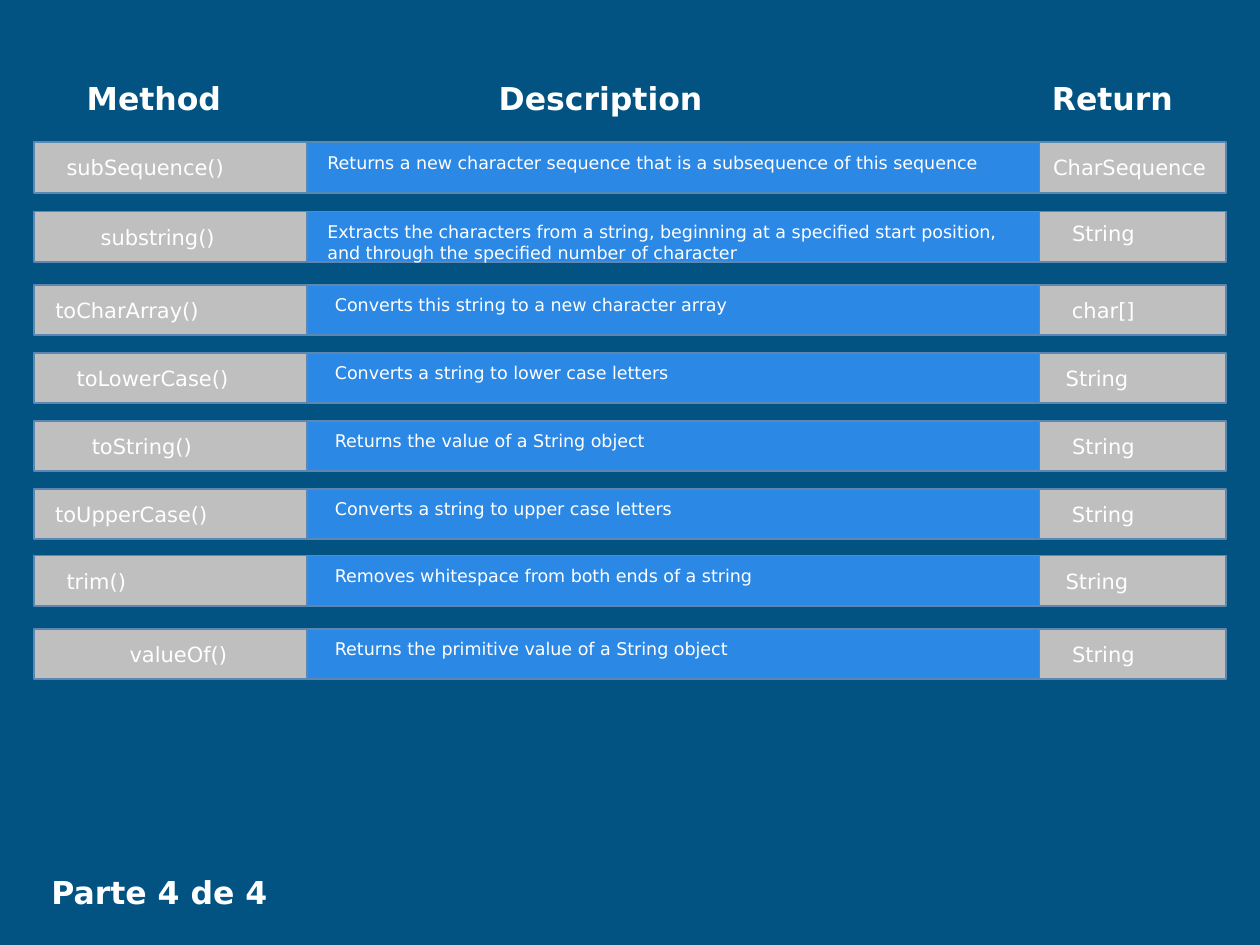
from dataclasses import dataclass
from typing import NamedTuple

from pptx import Presentation
from pptx.dml.color import RGBColor
from pptx.enum.shapes import MSO_SHAPE
from pptx.enum.text import MSO_AUTO_SIZE
from pptx.util import Inches, Pt


@dataclass(frozen=True)
class Theme:
    font: str = "DejaVu Sans"
    background: str = "025382"
    grey: str = "BFBFBF"
    blue: str = "2C88E5"
    outline: str = "5C87B1"
    text: str = "FFFFFF"
    heading: int = 18
    label: int = 12
    body: int = 10


class Box(NamedTuple):
    left: float
    top: float
    width: float
    height: float

    def inset(self, left, top, width, height):
        return Box(self.left + left, self.top + top, width, height)


class Entry(NamedTuple):
    top: float
    method: str
    method_place: tuple
    description: str
    description_place: tuple
    result: str
    result_place: tuple
    result_drop: float = 0.5


THEME = Theme()
COLUMNS, ROWS = 100, 75
WIDTH, HEIGHT = Inches(10), Inches(7.5)
EDGES = (2.7, 24.4, 82.5, 97.3)
FILLS = (THEME.grey, THEME.blue, THEME.grey)
BAR_HEIGHT = 4

HEADINGS = (
    ("Method", Box(5.9, 5.75, 12.7, 4)),
    ("Description", Box(38.6, 5.75, 18.2, 4)),
    ("Return", Box(82.5, 5.75, 11.6, 4)),
)
FOOTER = ("Parte 4 de 4", Box(3.1, 68.8, 20, 4))

ENTRIES = (
    Entry(11.3, "subSequence()", (1.6, 16.3),
          "Returns a new character sequence that is a subsequence of this sequence",
          (0.6, 57.5, 2.7), "CharSequence", (0.1, 14.7)),
    Entry(16.8, "substring()", (4.3, 16.2),
          "Extracts the characters from a string, beginning at a specified start position, "
          "and through the specified number of character",
          (0.6, 57.5, 4.4), "String", (1.6, 11.8), 0.2),
    Entry(22.6, "toCharArray()", (0.7, 18.9),
          "Converts this string to a new character array",
          (1.2, 55.7, 2.7), "char[]", (1.6, 8.7)),
    Entry(28, "toLowerCase()", (2.4, 18.8),
          "Converts a string to lower case letters",
          (1.2, 55.7, 2.7), "String", (1.1, 10.5)),
    Entry(33.4, "toString()", (3.6, 16.8),
          "Returns the value of a String object",
          (1.2, 55.7, 2.7), "String", (1.6, 11.1)),
    Entry(38.8, "toUpperCase()", (0.7, 21.6),
          "Converts a string to upper case letters",
          (1.2, 56.9, 2.7), "String", (1.6, 8.7)),
    Entry(44.1, "trim()", (1.6, 16.3),
          "Removes whitespace from both ends of a string",
          (1.2, 55.7, 2.7), "String", (1.1, 11.6)),
    Entry(49.9, "valueOf()", (6.6, 11.4),
          "Returns the primitive value of a String object",
          (1.2, 55.7, 2.7), "String", (1.6, 11.1)),
)


def place(box):
    return (
        round(WIDTH * box.left / COLUMNS),
        round(HEIGHT * box.top / ROWS),
        round(WIDTH * box.width / COLUMNS),
        round(HEIGHT * box.height / ROWS),
    )


def add_text(shapes, box, text, *, size, bold=False, wrap=True):
    frame = shapes.add_textbox(*place(box)).text_frame
    frame.word_wrap = wrap
    frame.auto_size = MSO_AUTO_SIZE.SHAPE_TO_FIT_TEXT
    span = frame.paragraphs[0].add_run()
    span.text = text
    span.font.name = THEME.font
    span.font.size = Pt(size)
    span.font.bold = bold
    span.font.color.rgb = RGBColor.from_string(THEME.text)


def add_bar(shapes, box, fill):
    bar = shapes.add_shape(MSO_SHAPE.RECTANGLE, *place(box))
    bar.shadow.inherit = False
    bar.fill.solid()
    bar.fill.fore_color.rgb = RGBColor.from_string(fill)
    bar.line.color.rgb = RGBColor.from_string(THEME.outline)
    bar.line.width = Pt(1)


def add_heading(page, box, text):
    add_text(page.shapes, box, text, size=THEME.heading, bold=True, wrap=False)


def add_entry(page, box, entry):
    shapes = page.shapes.add_group_shape().shapes
    cells = [
        Box(left, box.top, right - left, box.height)
        for left, right in zip(EDGES, EDGES[1:])
    ]
    for cell, fill in zip(cells, FILLS):
        add_bar(shapes, cell, fill)
    method, description, result = cells
    indent, width = entry.method_place
    add_text(shapes, method.inset(indent, 0.5, width, 3),
             entry.method, size=THEME.label)
    indent, width, height = entry.description_place
    add_text(shapes, description.inset(indent, 0.25, width, height),
             entry.description, size=THEME.body)
    indent, width = entry.result_place
    add_text(shapes, result.inset(indent, entry.result_drop, width, 3),
             entry.result, size=THEME.label)


def main():
    deck = Presentation()
    deck.slide_width, deck.slide_height = WIDTH, HEIGHT
    page = deck.slides.add_slide(deck.slide_layouts[6])
    page.background.fill.solid()
    page.background.fill.fore_color.rgb = RGBColor.from_string(THEME.background)
    for text, box in HEADINGS:
        add_heading(page, box, text)
    for entry in ENTRIES:
        row = Box(EDGES[0], entry.top, EDGES[-1] - EDGES[0], BAR_HEIGHT)
        add_entry(page, row, entry)
    text, box = FOOTER
    add_heading(page, box, text)
    deck.save("out.pptx")


if __name__ == "__main__":
    main()
